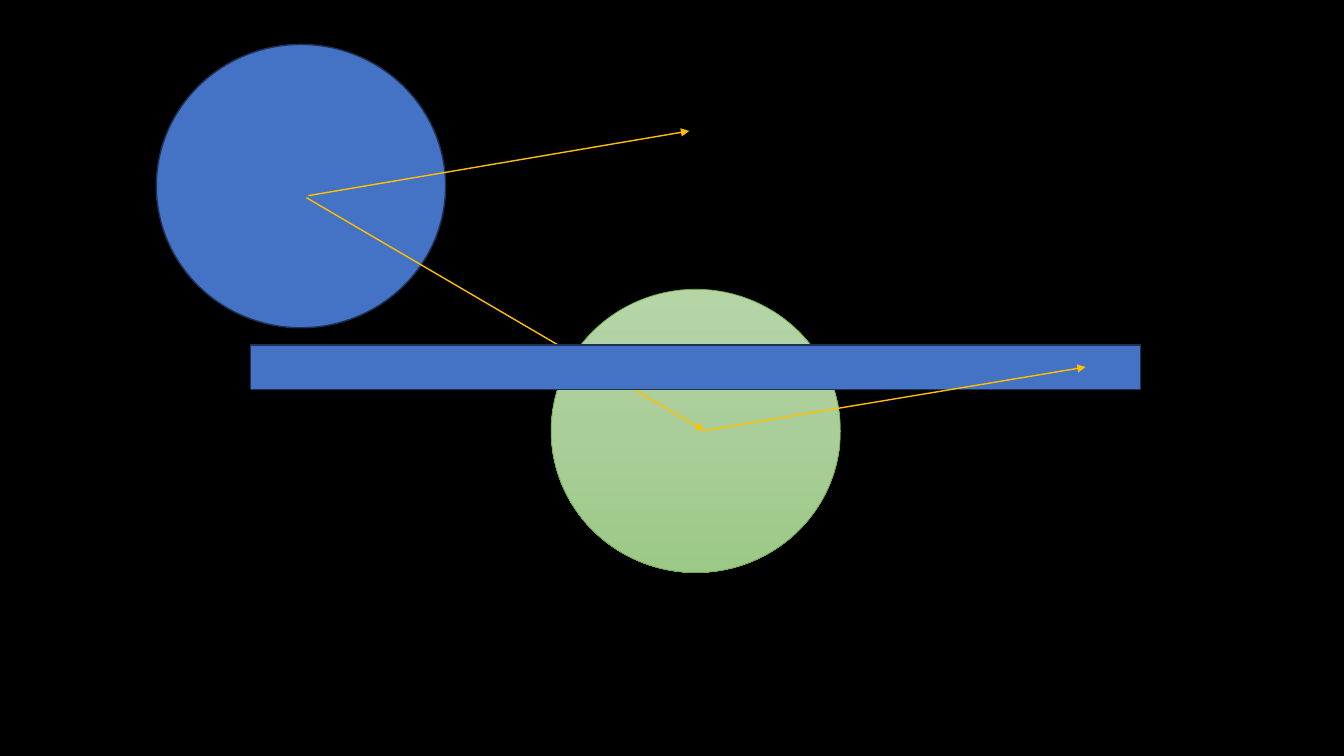
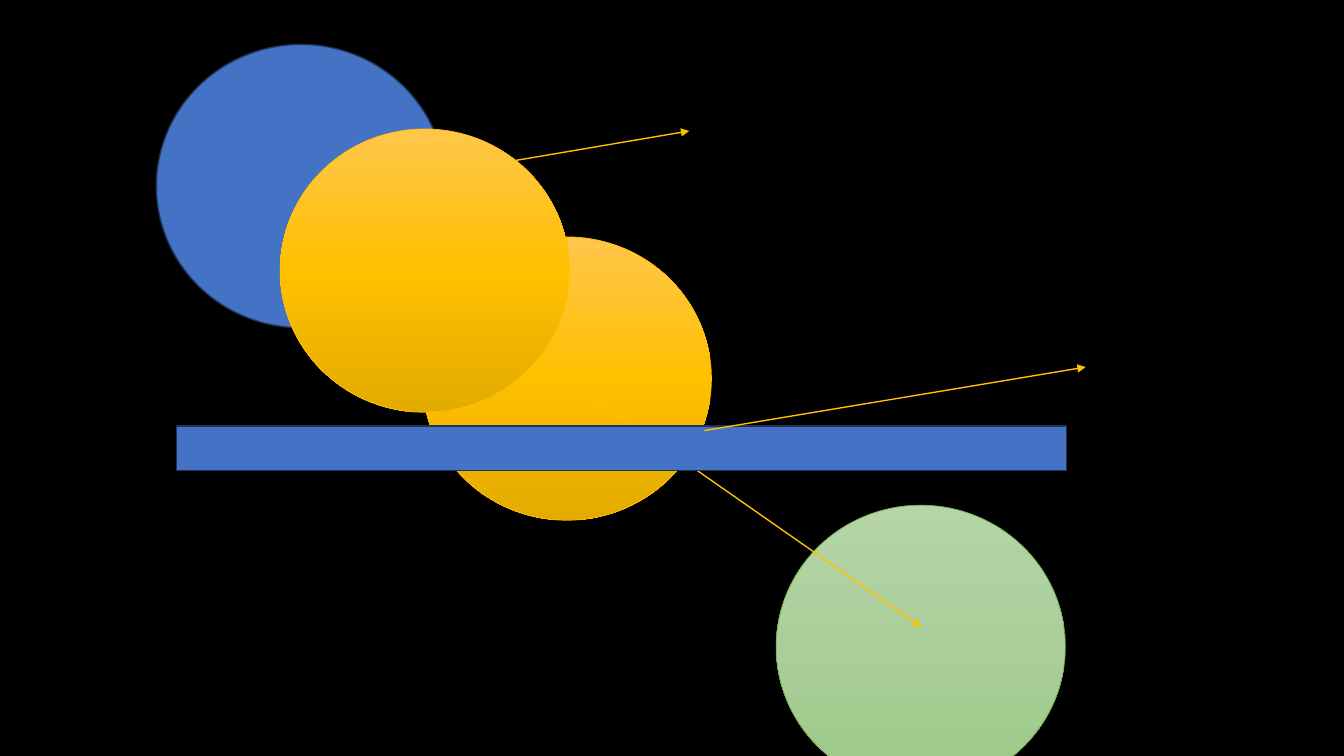
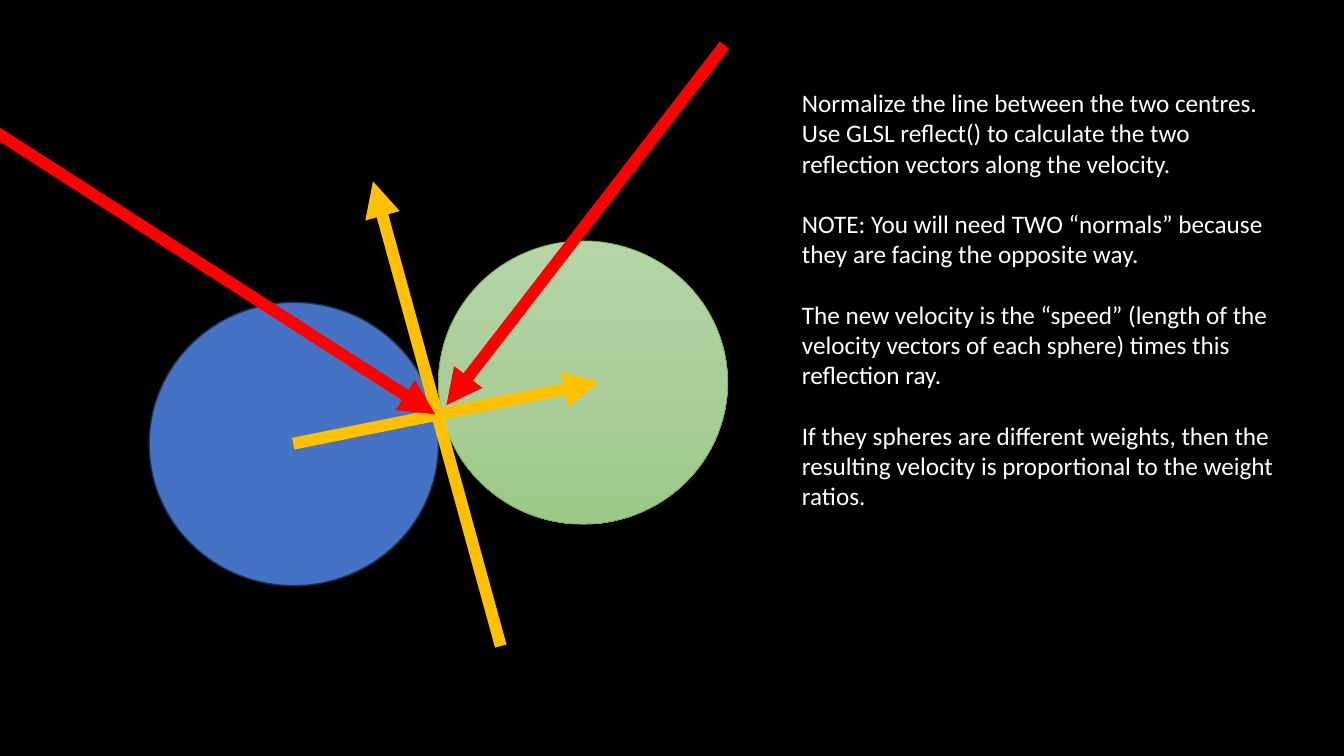
from copy import deepcopy

from lxml import etree
from pptx import Presentation
from pptx.dml.color import RGBColor
from pptx.enum.shapes import MSO_CONNECTOR, MSO_SHAPE
from pptx.enum.text import MSO_AUTO_SIZE
from pptx.oxml.ns import qn
from pptx.util import Cm, Pt

OVAL, RECTANGLE = MSO_SHAPE.OVAL, MSO_SHAPE.RECTANGLE
STRAIGHT = MSO_CONNECTOR.STRAIGHT
GROW = MSO_AUTO_SIZE.SHAPE_TO_FIT_TEXT

COLORS = {
    "background": "000000", "text": "FFFFFF",
    "blue": "4472C4", "navy": "1E3256", "green": "70AD47",
    "gold": "FFC000", "red": "FF0000",
    "green_top": "B5D5A7", "green_mid": "AACE9A", "green_low": "9CC987",
    "gold_top": "FFC64B", "gold_low": "E3AB00",
}
# Each look: fill colours from top to bottom, outline colour, outline width
LOOKS = {
    "blue": (["blue"], "navy", 1),
    "green": (["green_top", "green_mid", "green_low"], "green", 0.5),
    "gold": (["gold_top", "gold", "gold_low"], "gold", 0.5),
}
FONT = "Calibri"
SPHERE_SIZE = (7.29, 7.14)
WALL_SIZE = (22.43, 1.12)
THIN, THICK = 1, 8.5


def rgb(name):
    """Return the named colour."""
    return RGBColor.from_string(COLORS[name])


def write(paragraph, text, size=18, color="text", font=FONT, after=0):
    """Put formatted text in a paragraph."""
    run = paragraph.add_run()
    run.text = text
    run.font.name, run.font.size = font, Pt(size)
    run.font.color.rgb = rgb(color)
    paragraph.space_after = Pt(after)


class Deck:
    """Holds the presentation style and the current slide."""

    def __init__(self):
        """Start a widescreen presentation."""
        self.prs = Presentation()
        self.prs.slide_width, self.prs.slide_height = Cm(33.87), Cm(19.05)
        self.slide = None

    def new_slide(self):
        """Add a blank slide with the shared background."""
        self.slide = self.prs.slides.add_slide(self.prs.slide_layouts[6])
        fill = self.slide.background.fill
        fill.solid()
        fill.fore_color.rgb = rgb("background")

    def body(self, preset, left, top, size, look):
        """Draw an outlined shape with a plain or graded fill."""
        shape = self.slide.shapes.add_shape(
            preset, Cm(left), Cm(top), *map(Cm, size))
        shape.shadow.inherit = False
        colors, outline, width = LOOKS[look]
        if len(colors) == 1:
            shape.fill.solid()
            shape.fill.fore_color.rgb = rgb(colors[0])
        else:
            self.grade(shape, colors)
        shape.line.color.rgb = rgb(outline)
        shape.line.width = Pt(width)

    def grade(self, shape, colors):
        """Fill a shape with evenly spaced colours, top to bottom."""
        shape.fill.gradient()
        shape.fill.gradient_angle = 270
        stop_list = shape._element.spPr.find(".//" + qn("a:gsLst"))
        while len(stop_list) < len(colors):
            stop_list.append(deepcopy(stop_list[-1]))
        for i, (stop, color) in enumerate(zip(shape.fill.gradient_stops, colors)):
            stop.position = i / (len(colors) - 1)
            stop.color.rgb = rgb(color)

    def sphere(self, left, top, look):
        """Draw a sphere."""
        self.body(OVAL, left, top, SPHERE_SIZE, look)

    def wall(self, left, top):
        """Draw the flat wall."""
        self.body(RECTANGLE, left, top, WALL_SIZE, "blue")

    def arrow(self, start, end, color="gold", width=THIN):
        """Draw an arrow from start to end."""
        arrow = self.slide.shapes.add_connector(
            STRAIGHT, *map(Cm, (*start, *end)))
        arrow.line.color.rgb = rgb(color)
        arrow.line.width = Pt(width)
        properties = arrow._element.spPr
        etree.SubElement(properties.find(qn("a:ln")), qn("a:tailEnd"),
                         type="triangle")
        etree.SubElement(properties, qn("a:effectLst"))

    def rebounds(self):
        """Draw the two parallel rebound arrows."""
        self.arrow((17.75, 10.85), (27.36, 9.25))
        self.arrow((7.77, 4.93), (17.37, 3.3))

    def explanation(self, left, top, width, height, paragraphs):
        """Write explanatory paragraphs, given as (text, space after)."""
        box = self.slide.shapes.add_textbox(*map(Cm, (left, top, width, height)))
        frame = box.text_frame
        frame.word_wrap, frame.auto_size = True, GROW
        for i, (text, after) in enumerate(paragraphs):
            paragraph = frame.add_paragraph() if i else frame.paragraphs[0]
            write(paragraph, text, after=after)


SPHERE_START = (3.94, 1.12)
PATH_START = (7.72, 4.98)
LINE_GAP = 21.6
EXPLANATION = [
    ("Normalize the line between the two centres.", 0),
    ("Use GLSL reflect() to calculate the two reflection vectors along "
     "the velocity.", LINE_GAP),
    ("NOTE: You will need TWO “normals” because they are facing the "
     "opposite way.", LINE_GAP),
    ("The new velocity is the “speed” (length of the velocity vectors of "
     "each sphere) times this reflection ray.", LINE_GAP),
    ("If they spheres are different weights, then the resulting velocity is "
     "proportional to the weight ratios.", 0),
]


def wall_hit(deck):
    """Show a sphere that ends its move on the wall."""
    deck.new_slide()
    deck.sphere(*SPHERE_START, "blue")
    deck.sphere(13.89, 7.29, "green")
    deck.arrow(PATH_START, (17.75, 10.85))
    deck.wall(6.32, 8.69)
    deck.rebounds()


def wall_crossing(deck):
    """Show a sphere that passes the wall, with the steps between."""
    deck.new_slide()
    deck.sphere(10.64, 5.97, "gold")
    deck.sphere(*SPHERE_START, "blue")
    deck.sphere(19.56, 12.73, "green")
    deck.arrow(PATH_START, (23.22, 15.8))
    deck.wall(4.45, 10.74)
    deck.rebounds()
    deck.sphere(7.06, 3.25, "gold")


def sphere_collision(deck):
    """Show two colliding spheres and explain the response."""
    deck.new_slide()
    deck.sphere(3.76, 7.62, "blue")
    deck.sphere(11.05, 6.07, "green")
    for start, end, color in [
        ((7.39, 11.18), (15.11, 9.63), "gold"),
        ((12.62, 16.28), (9.4, 4.57), "gold"),
        ((18.26, 1.14), (11.25, 10.21), "red"),
        ((-0.38, 3.15), (10.97, 10.44), "red"),
    ]:
        deck.arrow(start, end, color, THICK)
    deck.explanation(19.96, 2.08, 12.42, 11.02, EXPLANATION)


deck = Deck()
wall_hit(deck)
wall_crossing(deck)
sphere_collision(deck)
deck.prs.save("out.pptx")
